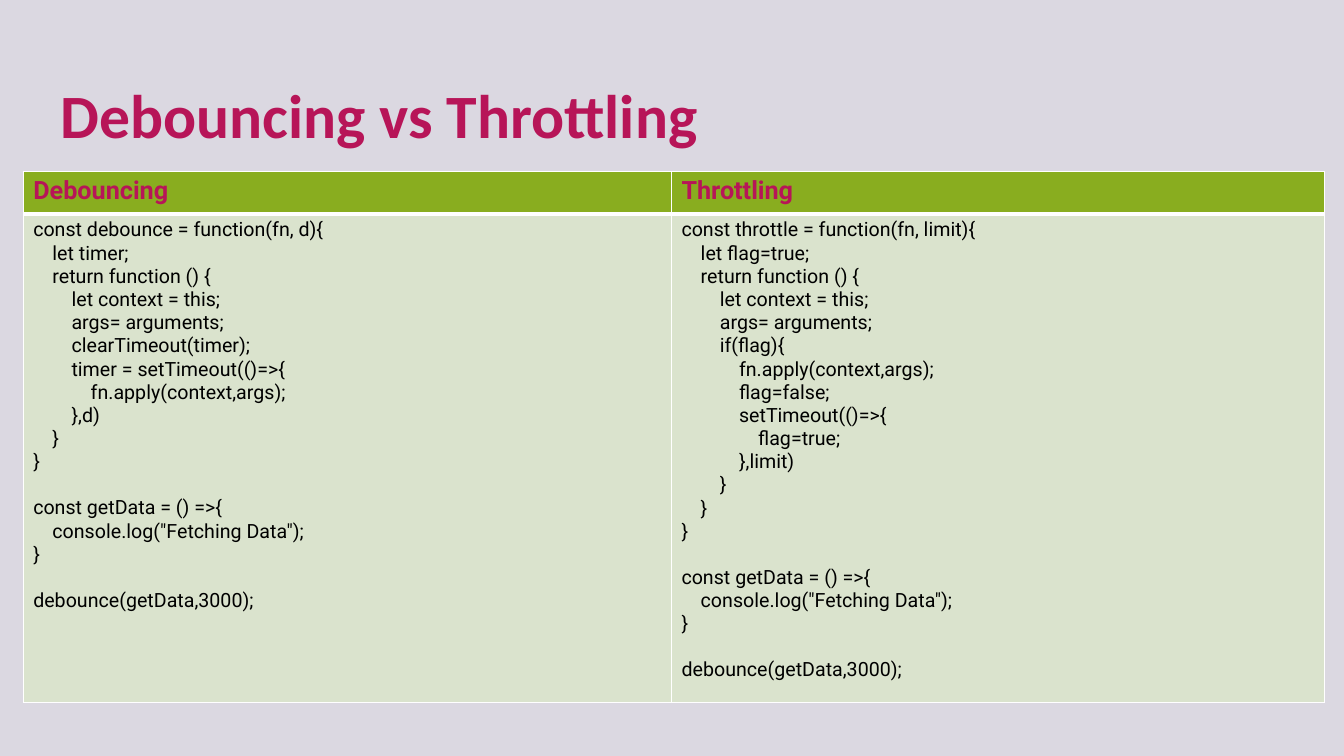
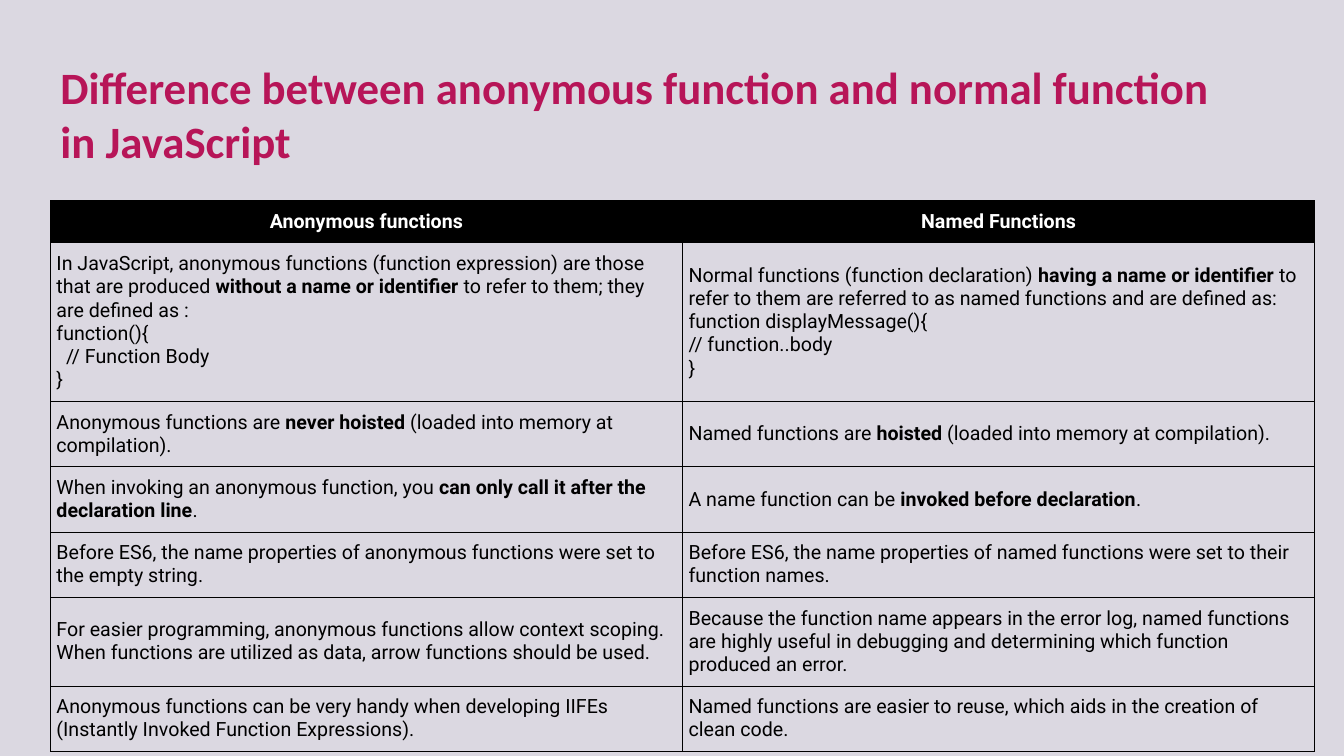
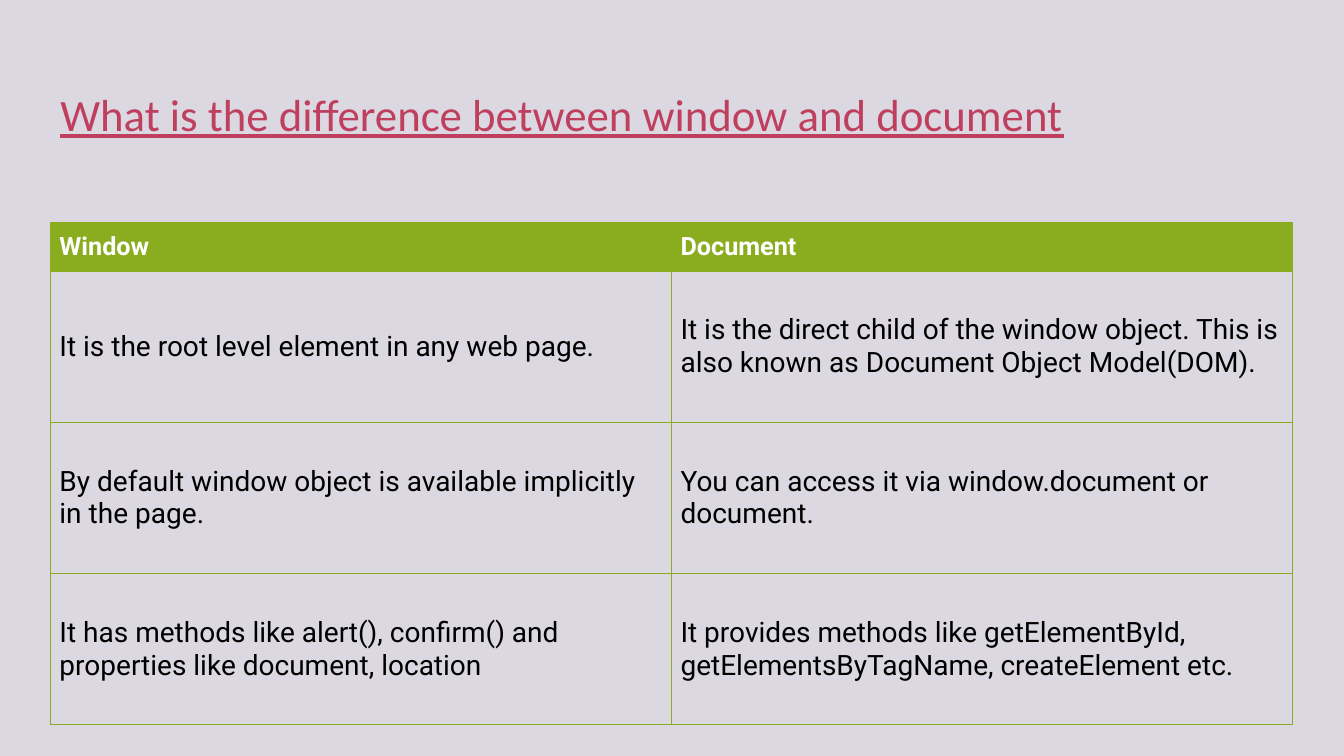
from lxml import etree
from pptx import Presentation
from pptx.dml.color import RGBColor
from pptx.enum.text import MSO_ANCHOR, PP_ALIGN
from pptx.oxml.ns import qn
from pptx.util import Inches, Pt

TOP, MIDDLE = MSO_ANCHOR.TOP, MSO_ANCHOR.MIDDLE
LEFT, CENTER = PP_ALIGN.LEFT, PP_ALIGN.CENTER

LILAC = RGBColor(0xDB, 0xD8, 0xE1)
MAGENTA = RGBColor(0xB7, 0x15, 0x58)
ROSE = RGBColor(0xBF, 0x3F, 0x5F)
GREEN = RGBColor(0x89, 0xAD, 0x1F)
PALE_GREEN = RGBColor(0xDA, 0xE3, 0xCD)
BLACK = RGBColor(0, 0, 0)
WHITE = RGBColor(0xFF, 0xFF, 0xFF)

TITLE_FONT, BODY_FONT = "Calibri", "Roboto"
TITLE_BOX = (0.5, 0.4, 11.92, 1.45)
LEVEL_INDENT = Inches(0.19)
SPACES_PER_LEVEL = 4
LINE_HEIGHT = 1.17

DEBOUNCE_CODE = """const debounce = function(fn, d){
    let timer;
    return function () {
        let context = this;
        args= arguments;
        clearTimeout(timer);
        timer = setTimeout(()=>{
            fn.apply(context,args);
        },d)
    }
}
"""
THROTTLE_CODE = """const throttle = function(fn, limit){
    let flag=true;
    return function () {
        let context = this;
        args= arguments;
        if(flag){
            fn.apply(context,args);
            flag=false;
            setTimeout(()=>{
                flag=true;
            },limit)
        }
    }
}
"""
USAGE_CODE = """
const getData = () =>{
    console.log("Fetching Data");
}

debounce(getData,3000);"""

CODE_ROWS = [
    ("Debouncing", "Throttling"),
    (DEBOUNCE_CODE + USAGE_CODE, THROTTLE_CODE + USAGE_CODE),
]

FUNCTION_ROWS = [
    ("Anonymous functions", "Named Functions"),
    ("In JavaScript, anonymous functions (function expression) are those that are "
     "produced **without a name or identifier **to refer to them; they are defined as :\n"
     "function(){\n  // Function Body\n}",
     "Normal functions (function declaration) **having a name or identifier **to refer "
     "to them are referred to as named functions and are defined as:\n"
     "function displayMessage(){\n// function..body\n}"),
    ("Anonymous functions are **never hoisted **(loaded into memory at compilation).",
     "Named functions are **hoisted** (loaded into memory at compilation)."),
    ("When invoking an anonymous function, you **can only call it after the "
     "declaration line**.",
     "A name function can be **invoked before declaration**."),
    ("Before ES6, the name properties of anonymous functions were set to the empty string.",
     "Before ES6, the name properties of named functions were set to their function names."),
    ("For easier programming, anonymous functions allow context scoping. When functions "
     "are utilized as data, arrow functions should be used.",
     "Because the function name appears in the error log, named functions are highly "
     "useful in debugging and determining which function produced an error."),
    ("Anonymous functions can be very handy when developing IIFEs (Instantly Invoked "
     "Function Expressions).",
     "Named functions are easier to reuse, which aids in the creation of clean code."),
]

WINDOW_ROWS = [
    ("Window", "Document"),
    ("It is the root level element in any web page.",
     "It is the direct child of the window object. This is also known as Document "
     "Object Model(DOM)."),
    ("By default window object is available implicitly in the page.",
     "You can access it via window.document or document."),
    ("It has methods like alert(), confirm() and properties like document, location",
     "It provides methods like getElementById, getElementsByTagName, createElement etc."),
]


def write_text(frame, text, size, color, font=BODY_FONT, bold=False, underline=False,
               align=LEFT):
    """Write lines: leading spaces indent, an empty line adds space, ** toggles bold."""
    para, gap = None, 0
    for line in text.split("\n"):
        if not line:
            gap = size * LINE_HEIGHT
            continue
        para = frame.add_paragraph() if para else frame.paragraphs[0]
        para.alignment = align
        para.space_before, gap = Pt(gap), 0
        content = line.lstrip(" ")
        indent = (len(line) - len(content)) * LEVEL_INDENT // SPACES_PER_LEVEL
        properties = para._p.get_or_add_pPr()
        properties.set("marL", str(indent))
        properties.set("indent", "0")
        for index, part in enumerate(content.split("**")):
            span = para.add_run()
            span.text = part
            span.font.name = font
            span.font.size = Pt(size)
            span.font.bold = bold or index % 2 == 1
            span.font.underline = underline
            span.font.color.rgb = color


def add_title(page, text, size, color=MAGENTA, bold=True, underline=False):
    """Place the slide title, centred vertically in the shared title box."""
    frame = page.shapes.add_textbox(*map(Inches, TITLE_BOX)).text_frame
    frame.word_wrap = True
    frame.vertical_anchor = MIDDLE
    write_text(frame, text, size, color, TITLE_FONT, bold, underline)


def set_borders(cell, color, widths):
    """Draw the left, right, top and bottom borders of a cell."""
    properties = cell._tc.get_or_add_tcPr()
    for side, width in zip("LRTB", widths):
        line = etree.SubElement(properties, qn(f"a:ln{side}"), w=str(Pt(width)))
        fill = etree.SubElement(line, qn("a:solidFill"))
        etree.SubElement(fill, qn("a:srgbClr"), val=str(color))


def add_comparison(page, left, top, widths, heights, rows, header, body, header_fill,
                   border, border_width=0.5, header_rule=None, body_fill=None,
                   anchor=MIDDLE, margins=(0.1, 0.05)):
    """Place a table with a header row; header and body are text formats."""
    table = page.shapes.add_table(
        len(rows), len(widths), Inches(left), Inches(top),
        Inches(sum(widths)), Inches(sum(heights))).table
    table.horz_banding = False
    for column, width in zip(table.columns, widths):
        column.width = Inches(width)
    for row, height in zip(table.rows, heights):
        row.height = Inches(height)
    rule = header_rule or border_width
    for row_index, texts in enumerate(rows):
        is_header = row_index == 0
        fill = header_fill if is_header else body_fill
        upper = rule if row_index == 1 else border_width
        lower = rule if is_header else border_width
        for column_index, text in enumerate(texts):
            cell = table.cell(row_index, column_index)
            set_borders(cell, border, (border_width, border_width, upper, lower))
            if fill is None:
                cell.fill.background()
            else:
                cell.fill.solid()
                cell.fill.fore_color.rgb = fill
            cell.vertical_anchor = anchor
            cell.margin_left = cell.margin_right = Inches(margins[0])
            cell.margin_top = cell.margin_bottom = Inches(margins[1])
            write_text(cell.text_frame, text, **(header if is_header else body))


def build_code_slide(page):
    """Compare the code of debouncing and throttling."""
    add_title(page, "Debouncing vs Throttling", 44)
    add_comparison(page, 0.23, 1.7, (6.43, 6.48), (0.42, 4.85), CODE_ROWS,
                   {"size": 18, "color": MAGENTA, "bold": True},
                   {"size": 14, "color": BLACK}, GREEN, WHITE, border_width=1,
                   header_rule=3, body_fill=PALE_GREEN, anchor=TOP)


def build_function_slide(page):
    """Compare anonymous and named functions."""
    add_title(page, "Difference between anonymous function and normal function "
                    "in JavaScript", 32)
    add_comparison(page, 0.5, 1.99, (6.27, 6.27),
                   (0.41, 1.56, 0.64, 0.64, 0.64, 0.87, 0.64), FUNCTION_ROWS,
                   {"size": 14, "color": WHITE, "bold": True, "align": CENTER},
                   {"size": 14, "color": BLACK}, BLACK, BLACK, margins=(0.06, 0.09))


def build_window_slide(page):
    """Compare the window and document objects."""
    add_title(page, "What is the difference between window and document", 32,
              color=ROSE, bold=False, underline=True)
    add_comparison(page, 0.5, 2.21, (6.16, 6.16), (0.48, 1.5, 1.5, 1.5), WINDOW_ROWS,
                   {"size": 18, "color": WHITE, "bold": True},
                   {"size": 20, "color": BLACK}, GREEN, GREEN, margins=(0.09, 0.04))


def main():
    """Build the deck and save it."""
    deck = Presentation()
    deck.slide_width, deck.slide_height = Inches(13.33), Inches(7.5)
    backdrop = deck.slide_master.background.fill
    backdrop.solid()
    backdrop.fore_color.rgb = LILAC
    blank = deck.slide_layouts[6]
    for build in (build_code_slide, build_function_slide, build_window_slide):
        build(deck.slides.add_slide(blank))
    deck.save("out.pptx")


if __name__ == "__main__":
    main()
